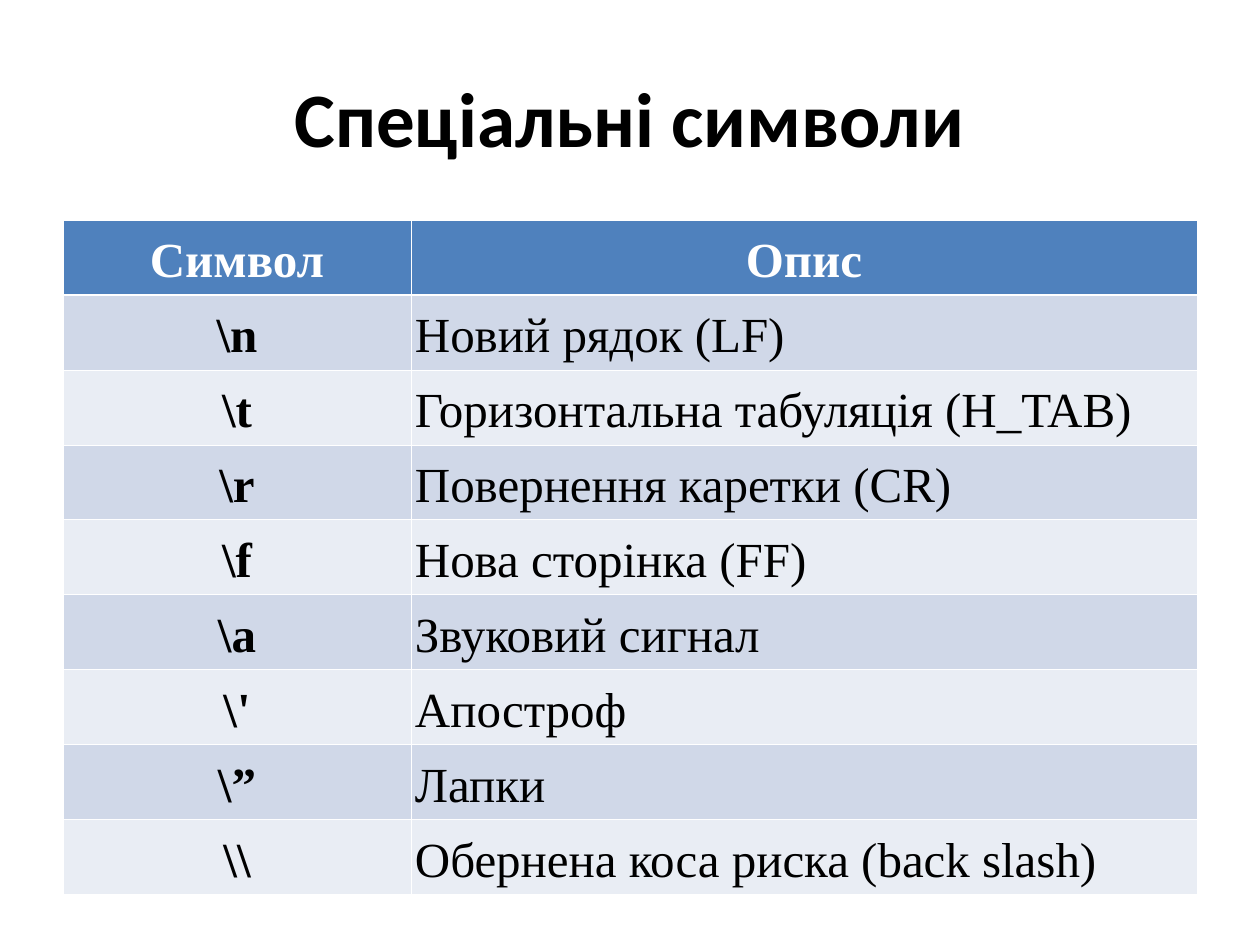
from lxml.etree import SubElement
from pptx import Presentation
from pptx.dml.color import RGBColor
from pptx.enum.text import MSO_ANCHOR as Anchor, PP_ALIGN as Align
from pptx.oxml.ns import qn
from pptx.util import Emu, Pt

PX = 914400 / 126
BLACK = RGBColor(0x00, 0x00, 0x00)
WHITE = RGBColor(0xFF, 0xFF, 0xFF)
HEADER_BLUE = RGBColor(0x4F, 0x81, 0xBD)
BAND_DARK = RGBColor(0xD0, 0xD8, 0xE8)
BAND_LIGHT = RGBColor(0xE9, 0xED, 0xF4)

HEADINGS = ("Символ", "Опис")
ESCAPES = [
    (r"\n", "Новий рядок (LF)"),
    (r"\t", "Горизонтальна табуляція (Н_TAB)"),
    (r"\r", "Повернення каретки (CR)"),
    (r"\f", "Нова сторінка (FF)"),
    (r"\a", "Звуковий сигнал"),
    (r"\'", "Апостроф"),
    (r"\”", "Лапки"),
    (r"\\", "Обернена коса риска (back slash)"),
]


def px(length):
    return Emu(round(length * PX))


class SlideBuilder:
    title_font, title_size = "Calibri", 44
    table_font, table_size = "Times New Roman", 28
    thin, thick = 0.45, 1.47

    def __init__(self, slide):
        self.slide = slide

    def add_run(self, paragraph, text, font, size, color, bold):
        run = paragraph.add_run()
        run.text = text
        run.font.name = font
        run.font.size = Pt(size)
        run.font.color.rgb = color
        run.font.bold = bold

    def title(self, text, left, top, width, height):
        box = self.slide.shapes.add_textbox(px(left), px(top), px(width), px(height))
        frame = box.text_frame
        frame.word_wrap = True
        frame.vertical_anchor = Anchor.MIDDLE
        heading = frame.paragraphs[0]
        heading.alignment = Align.CENTER
        self.add_run(heading, text, self.title_font, self.title_size, BLACK, True)

    def border(self, cell, side, points):
        line = SubElement(cell._tc.get_or_add_tcPr(), qn(f"a:ln{side}"), w=str(Pt(points)))
        fill = SubElement(line, qn("a:solidFill"))
        SubElement(fill, qn("a:srgbClr"), val=str(WHITE))

    def cell(self, cell, text, row, column):
        header = row == 0
        # Borders come before the fill; the line under the header is thicker
        self.border(cell, "L", self.thin)
        self.border(cell, "R", self.thin)
        self.border(cell, "T", self.thick if row == 1 else self.thin)
        self.border(cell, "B", self.thick if header else self.thin)
        cell.fill.solid()
        band = BAND_DARK if row % 2 else BAND_LIGHT
        cell.fill.fore_color.rgb = HEADER_BLUE if header else band

        cell.margin_left = cell.margin_right = px(4)
        # A small bottom margin keeps each row at its set height
        cell.margin_top, cell.margin_bottom = px(6), px(1)
        paragraph = cell.text_frame.paragraphs[0]
        paragraph.line_spacing = 1.15
        centered = header or column == 0
        paragraph.alignment = Align.CENTER if centered else Align.LEFT
        self.add_run(paragraph, text, self.table_font, self.table_size,
                     WHITE if header else BLACK, centered)

    def table(self, rows, left, top, column_widths, row_height):
        table = self.slide.shapes.add_table(
            len(rows), len(column_widths), px(left), px(top),
            px(sum(column_widths)), px(row_height * len(rows))).table
        for column, width in zip(table.columns, column_widths):
            column.width = px(width)
        for r, texts in enumerate(rows):
            for c, text in enumerate(texts):
                self.cell(table.cell(r, c), text, r, c)


def main():
    deck = Presentation()
    deck.slide_width, deck.slide_height = px(1260), px(945)
    builder = SlideBuilder(deck.slides.add_slide(deck.slide_layouts[6]))

    # Title
    builder.title("Спеціальні символи", 63, 38, 1134, 158)

    # Table of escape sequences
    builder.table([HEADINGS, *ESCAPES], 63, 220, (348, 786), 75)

    deck.save("out.pptx")


if __name__ == "__main__":
    main()
